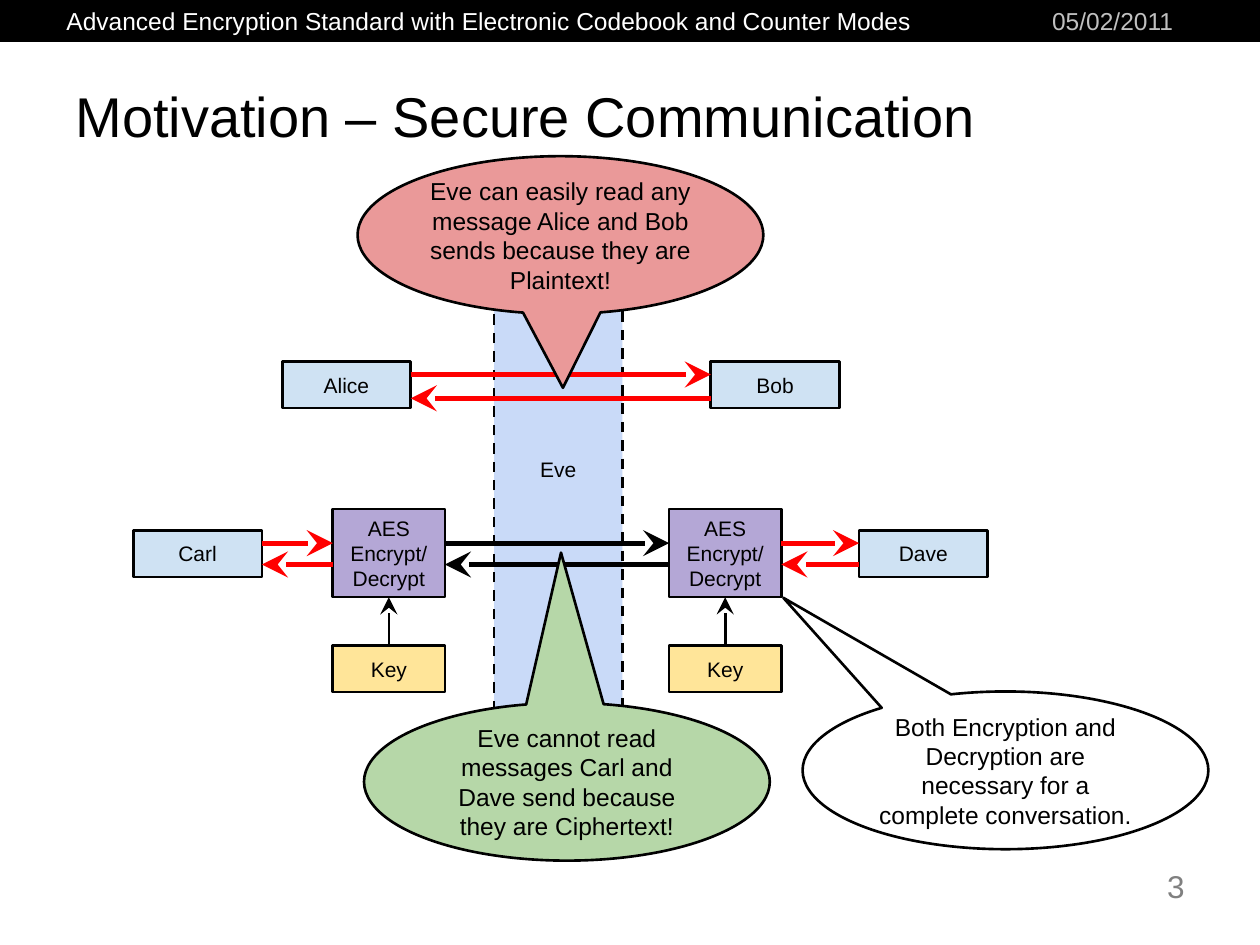
from collections import namedtuple

from lxml import etree
from pptx import Presentation
from pptx import util as u
from pptx.dml.color import RGBColor
from pptx.enum import dml, shapes, text
from pptx.oxml.ns import qn

Box = namedtuple("Box", "left top width height")
BLACK, RED, WHITE = "000000", "FF0000", "FFFFFF"
PERSON, CIPHER, KEY, LANE = "CFE2F3", "B4A7D6", "FFE599", "C9DAF8"
PERSON_WIDTH, PERSON_HEIGHT = 2.59, 0.94
CIPHER_WIDTH, CIPHER_HEIGHT = 2.26, 1.78
RECTANGLE = shapes.MSO_SHAPE.RECTANGLE
BUBBLE = shapes.MSO_SHAPE.OVAL_CALLOUT
CENTER, LEFT, RIGHT = text.PP_ALIGN.CENTER, text.PP_ALIGN.LEFT, text.PP_ALIGN.RIGHT
TOP, MIDDLE = text.MSO_ANCHOR.TOP, text.MSO_ANCHOR.MIDDLE


def color(value):
    """Turn a hex string into a colour."""
    return RGBColor.from_string(value)


def lengths(values):
    """Turn centimetres into slide lengths."""
    return [u.Cm(value) for value in values]


def assign(target, values):
    """Set attributes from a dict of format values."""
    for name, value in values.items():
        setattr(target, name, value)


def write(shape, words, size, ink=BLACK, align=CENTER, anchor=MIDDLE, inset=0.25):
    """Write one styled paragraph into a shape."""
    frame = shape.text_frame
    assign(frame, {
        "word_wrap": True, "vertical_anchor": anchor,
        "margin_left": u.Cm(0.25), "margin_right": u.Cm(0.25),
        "margin_top": u.Cm(inset), "margin_bottom": u.Cm(inset),
    })
    para = frame.paragraphs[0]
    para.alignment = align
    span = para.add_run()
    span.text = words
    assign(span.font, {"name": "Arial", "size": u.Pt(size)})
    span.font.color.rgb = color(ink)


def add_label(page, box, words, size, ink, align=LEFT, anchor=TOP):
    """Add free text in a box."""
    label = page.shapes.add_textbox(*lengths(box))
    write(label, words, size, ink, align, anchor, 0.13)


def add_block(page, box, fill, words="", size=12, kind=RECTANGLE, weight=1.5):
    """Add an outlined shape with centred text."""
    block = page.shapes.add_shape(kind, *lengths(box))
    block.shadow.inherit = False
    block.fill.solid()
    block.fill.fore_color.rgb = color(fill)
    block.line.color.rgb = color(BLACK)
    block.line.width = u.Pt(weight)
    if words:
        write(block, words, size)
    return block


def add_arrow(page, start, end, ink, weight):
    """Add an arrow from start to end."""
    arrow = page.shapes.add_connector(
        shapes.MSO_CONNECTOR.STRAIGHT, *lengths(start + end))
    arrow.line.color.rgb = color(ink)
    arrow.line.width = u.Pt(weight)
    outline = arrow.line._get_or_add_ln()
    etree.SubElement(outline, qn("a:tailEnd"), type="stealth", w="lg", len="lg")
    etree.SubElement(arrow._element.spPr, qn("a:effectLst"))


def add_exchange(page, left, right, top, gap, ink):
    """Add a pair of opposite arrows."""
    add_arrow(page, (left, top), (right, top), ink, 3)
    add_arrow(page, (right, top + gap), (left, top + gap), ink, 3)


def add_header(page, box):
    """Add the bar with subject and date."""
    add_block(page, box, BLACK, weight=0.75)
    add_label(page, Box(box.left + 1.09, box.top, 18.5, 0.86),
              "Advanced Encryption Standard with Electronic Codebook and Counter Modes",
              14, WHITE)
    add_label(page, Box(box.left + 20.96, box.top, 3.18, 0.64),
              "05/02/2011", 14, "C0C0C0")


def add_people(page, box, names):
    """Add one person at each end of the box."""
    ends = (box.left, box.left + box.width - PERSON_WIDTH)
    for left, name in zip(ends, names):
        add_block(page, Box(left, box.top, PERSON_WIDTH, PERSON_HEIGHT), PERSON, name)


def add_lane(page, box):
    """Add the dashed lane of the eavesdropper."""
    lane = add_block(page, box, LANE, "Eve")
    lane.line.dash_style = dml.MSO_LINE.DASH


def add_plain_row(page, box):
    """Add the unencrypted conversation."""
    add_people(page, box, ("Alice", "Bob"))
    add_exchange(page, box.left + PERSON_WIDTH, box.left + box.width - PERSON_WIDTH,
                 box.top + 0.26, 0.48, RED)


def add_cipher_row(page, box):
    """Add the encrypted conversation with its keys."""
    add_people(page, Box(box.left, box.top + 0.43, box.width, PERSON_HEIGHT),
               ("Carl", "Dave"))
    ciphers = (box.left + 4.02, box.left + 10.8)
    bottom, key_top = box.top + CIPHER_HEIGHT, box.top + 2.75
    for left in ciphers:
        add_block(page, Box(left, box.top, CIPHER_WIDTH, CIPHER_HEIGHT),
                  CIPHER, "AES Encrypt/Decrypt")
        add_block(page, Box(left, key_top, CIPHER_WIDTH, PERSON_HEIGHT), KEY, "Key")
        middle = left + CIPHER_WIDTH / 2
        add_arrow(page, (middle, key_top), (middle, bottom), BLACK, 1.5)
    stops = (box.left + PERSON_WIDTH, ciphers[0], ciphers[0] + CIPHER_WIDTH, ciphers[1],
             ciphers[1] + CIPHER_WIDTH, box.left + box.width - PERSON_WIDTH)
    for left, right, ink in zip(stops[::2], stops[1::2], (RED, BLACK, RED)):
        add_exchange(page, left, right, box.top + 0.69, 0.43, ink)


def add_bubble(page, box, tip, fill, words):
    """Add a speech bubble whose tip is a point on the page."""
    bubble = add_block(page, box, fill, words, 14, BUBBLE)
    bubble.adjustments[0] = (tip[0] - box.left) / box.width - 0.5
    bubble.adjustments[1] = (tip[1] - box.top) / box.height - 0.5


def main():
    """Build the slide and save it."""
    deck = Presentation()
    assign(deck, {"slide_width": u.Cm(25.4), "slide_height": u.Cm(19.05)})
    page = deck.slides.add_slide(deck.slide_layouts[6])
    add_header(page, Box(0, 0, 25.4, 0.84))
    add_label(page, Box(21.59, 17.35, 2.54, 1.12), "3", 18, "808080", RIGHT)
    add_label(page, Box(1.27, 1.27, 22.86, 2.11),
              "Motivation – Secure Communication", 32, BLACK, anchor=MIDDLE)
    add_lane(page, Box(9.96, 4.37, 2.59, 10.16))
    add_plain_row(page, Box(5.69, 7.29, 11.23, PERSON_HEIGHT))
    add_cipher_row(page, Box(2.69, 10.26, 17.22, 3.69))
    bubbles = (
        (7.21, 3.15, (11.35, 7.82), "EA9999",
         "Eve can easily read any message Alice and Bob sends because they are Plaintext!"),
        (7.34, 14.17, (11.31, 11.14), "B6D7A8",
         "Eve cannot read messages Carl and Dave send because they are Ciphertext!"),
        (16.18, 13.94, (15.79, 12.05), WHITE,
         "Both Encryption and Decryption are necessary for a complete conversation."),
    )
    for left, top, tip, fill, words in bubbles:
        add_bubble(page, Box(left, top, 8.18, 3.18), tip, fill, words)
    deck.save("out.pptx")


if __name__ == "__main__":
    main()
